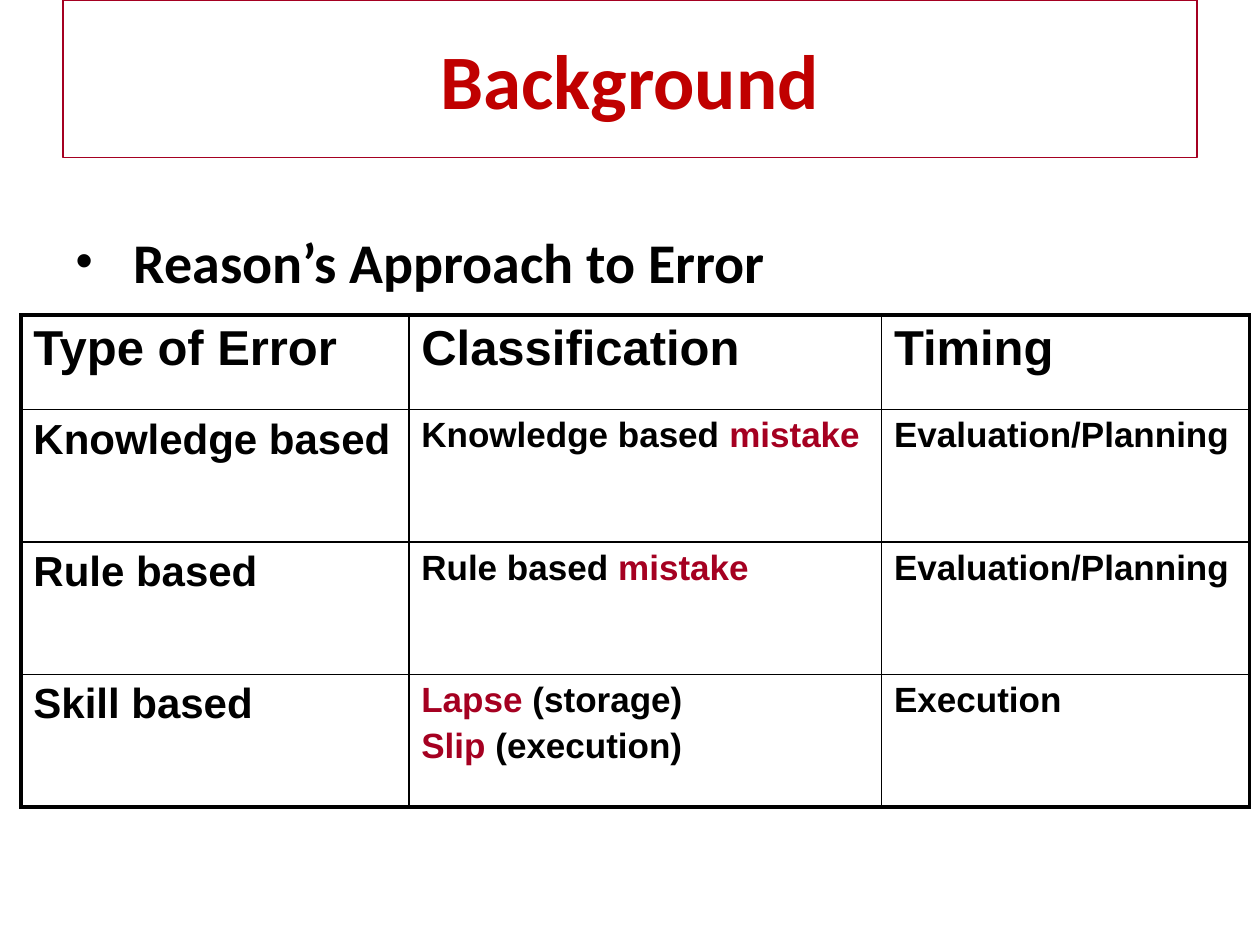
from dataclasses import dataclass

from lxml.etree import SubElement
from pptx import Presentation
from pptx.dml.color import RGBColor
from pptx.enum.text import MSO_ANCHOR, PP_ALIGN
from pptx.oxml.ns import qn
from pptx.util import Cm, Pt

BLACK = RGBColor(0x00, 0x00, 0x00)
RED = RGBColor(0xC0, 0x00, 0x00)
CRIMSON = RGBColor(0xA5, 0x00, 0x21)

THIN, THICK = Pt(1), Pt(2.25)
COLUMN_WIDTHS = (7.82, 9.53, 7.42)
ROW_HEIGHTS = (1.91, 2.67, 2.67, 2.67)
HEADINGS = ("Type of Error", "Classification", "Timing")


@dataclass
class Part:
    text: str
    color: RGBColor = BLACK


@dataclass
class ErrorType:
    name: str
    classification: list[list[Part]]
    timing: str


ERROR_TYPES = [
    ErrorType("Knowledge based",
              [[Part("Knowledge based "), Part("mistake", CRIMSON)]],
              "Evaluation/Planning"),
    ErrorType("Rule based",
              [[Part("Rule based "), Part("mistake", CRIMSON)]],
              "Evaluation/Planning"),
    ErrorType("Skill based",
              [[Part("Lapse ", CRIMSON), Part("(storage)")],
               [Part("Slip", CRIMSON), Part(" (execution)")]],
              "Execution"),
]


def add_run(p, text: str, *, size: float, font: str = "Arial",
            color: RGBColor = BLACK, bold: bool = True) -> None:
    r = p.add_run()
    r.text = text
    r.font.name = font
    r.font.size = Pt(size)
    r.font.bold = bold
    r.font.color.rgb = color


def set_relative_space_before(p, percent: int) -> None:
    """Set paragraph spacing as a share of the line height."""
    space = SubElement(p._p.get_or_add_pPr(), qn("a:spcBef"))
    SubElement(space, qn("a:spcPct"), val=str(percent * 1000))


def set_borders(cell, **widths: int) -> None:
    """Draw black borders; sides are given as L, R, T and B, in that order."""
    tc_pr = cell._tc.get_or_add_tcPr()
    for side, width in widths.items():
        ln = SubElement(tc_pr, qn(f"a:ln{side}"), w=str(width))
        fill = SubElement(ln, qn("a:solidFill"))
        SubElement(fill, qn("a:srgbClr"), val=str(BLACK))


def fill_cell(cell, lines: list[list[Part]], size: float) -> None:
    tf = cell.text_frame
    for i, line in enumerate(lines):
        p = tf.add_paragraph() if i else tf.paragraphs[0]
        set_relative_space_before(p, 20)
        for part in line:
            add_run(p, part.text, size=size, color=part.color)


def place(sp, left: float, top: float, width: float, height: float) -> None:
    sp.left, sp.top, sp.width, sp.height = map(Cm, (left, top, width, height))


def add_title(slide) -> None:
    sp = slide.shapes.title
    place(sp, 1.27, 0, 22.86, 3.18)
    sp.line.color.rgb = CRIMSON
    sp.line.width = Pt(0.75)
    sp.text_frame.vertical_anchor = MSO_ANCHOR.MIDDLE
    p = sp.text_frame.paragraphs[0]
    p.alignment = PP_ALIGN.CENTER
    add_run(p, "Background", size=44, font="Calibri", color=RED)


def add_body(slide) -> None:
    sp = slide.placeholders[1]
    place(sp, 1.27, 4.45, 22.66, 3.61)
    p = sp.text_frame.paragraphs[0]
    add_run(p, " ", size=28, font="Calibri")
    add_run(p, "Reason’s Approach to Error", size=32, font="Calibri")


def add_error_table(slide) -> None:
    rows, cols = len(ROW_HEIGHTS), len(COLUMN_WIDTHS)
    table = slide.shapes.add_table(
        rows, cols, Cm(0.42), Cm(6.35),
        Cm(sum(COLUMN_WIDTHS)), Cm(sum(ROW_HEIGHTS))).table
    table.first_row = table.horz_banding = False
    for column, width in zip(table.columns, COLUMN_WIDTHS):
        column.width = Cm(width)
    for row, height in zip(table.rows, ROW_HEIGHTS):
        row.height = Cm(height)

    for col, heading in enumerate(HEADINGS):
        fill_cell(table.cell(0, col), [[Part(heading)]], 28)
    for row, error in enumerate(ERROR_TYPES, start=1):
        fill_cell(table.cell(row, 0), [[Part(error.name)]], 24)
        fill_cell(table.cell(row, 1), error.classification, 20)
        fill_cell(table.cell(row, 2), [[Part(error.timing)]], 20)

    for row in range(rows):
        for col in range(cols):
            cell = table.cell(row, col)
            set_borders(cell,
                        L=THICK if col == 0 else THIN,
                        R=THICK if col == cols - 1 else THIN,
                        T=THICK if row == 0 else THIN,
                        B=THICK if row == rows - 1 else THIN)
            cell.fill.background()


def main() -> None:
    prs = Presentation()
    prs.slide_width, prs.slide_height = Cm(25.4), Cm(19.05)
    slide = prs.slides.add_slide(prs.slide_layouts[1])
    add_title(slide)
    add_body(slide)
    add_error_table(slide)
    prs.save("out.pptx")


if __name__ == "__main__":
    main()
